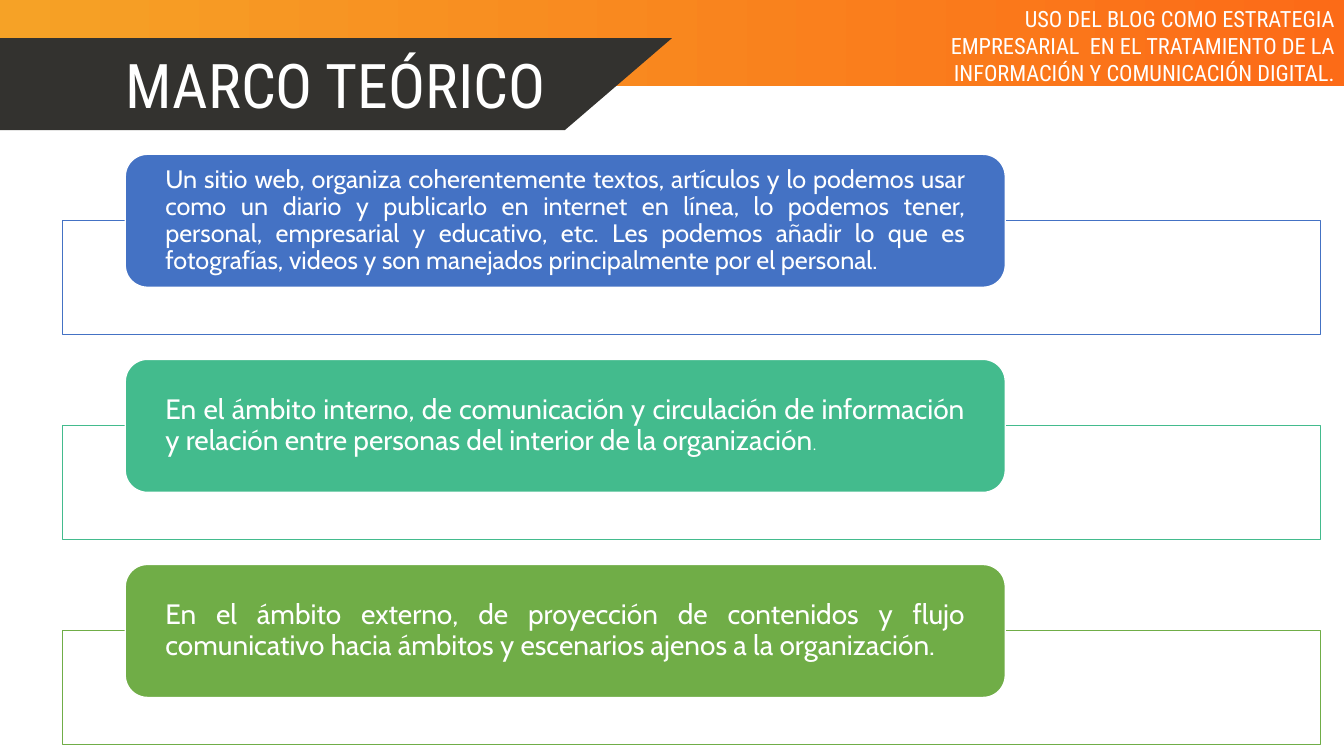
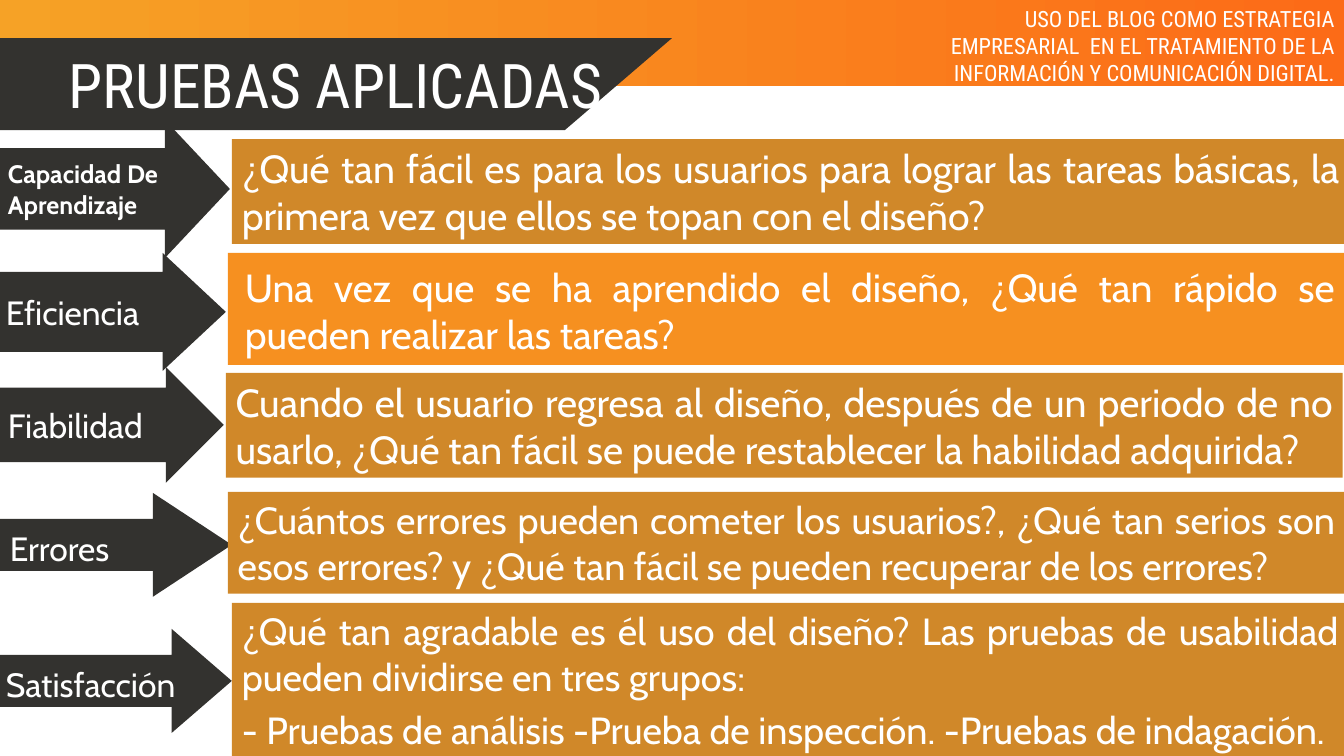
import typing

import pptx
import pptx.dml.color
import pptx.enum.shapes
import pptx.enum.text
import pptx.shapes.autoshape
import pptx.slide
import pptx.text.text
import pptx.util

Pt = pptx.util.Pt
RGB = pptx.dml.color.RGBColor
Kind = pptx.enum.shapes.MSO_SHAPE
Align = pptx.enum.text.PP_ALIGN
Anchor = pptx.enum.text.MSO_ANCHOR
Frame = pptx.text.text.TextFrame
Shape = pptx.shapes.autoshape.Shape
Slide = pptx.slide.Slide

WHITE = RGB(0xFF, 0xFF, 0xFF)
DARK = RGB(0x33, 0x32, 0x2F)
AMBER = RGB(0xF6, 0xA2, 0x26)
FLAME = RGB(0xFC, 0x6B, 0x17)
OCHRE = RGB(0xD0, 0x88, 0x29)
ORANGE = RGB(0xF6, 0x90, 0x20)
BLUE = RGB(0x44, 0x72, 0xC4)
TEAL = RGB(0x43, 0xBB, 0x8D)
GREEN = RGB(0x70, 0xAD, 0x47)

HEAD_FONT = "Roboto Condensed"
BODY_FONT = "Cabin"
WIDTH, HEIGHT = 960, 540
HEADER = ("USO DEL BLOG COMO ESTRATEGIA EMPRESARIAL  EN EL TRATAMIENTO "
          "DE LA INFORMACIÓN Y COMUNICACIÓN DIGITAL.")


class Rect(typing.NamedTuple):
    left: float
    top: float
    width: float
    height: float


class Card(typing.NamedTuple):
    color: RGB
    size: float
    text: str
    stop: str = ""  # small closing mark


class Row(typing.NamedTuple):
    label: str
    arrow: Rect
    shaft: float
    point: float
    panel: Rect
    lines: list[str]
    size: float = 28
    color: RGB = OCHRE
    inset: tuple[float, float] = (7.2, 3.6)
    bold: bool = False
    label_size: float = 24
    spacing: float = 1.0


CARDS = [
    Card(BLUE, 18, "Un sitio web, organiza coherentemente textos, artículos y lo "
         "podemos usar como un diario y publicarlo en internet en línea, lo "
         "podemos tener, personal, empresarial y educativo, etc. Les podemos "
         "añadir lo que es fotografías, videos y son manejados principalmente "
         "por el personal."),
    Card(TEAL, 20, "En el ámbito interno, de comunicación y circulación de "
         "información y relación entre personas del interior de la organización",
         "."),
    Card(GREEN, 20, "En el ámbito externo, de proyección de contenidos y flujo "
         "comunicativo hacia ámbitos y escenarios ajenos a la organización."),
]
CARD_STEP = 146.5

PANEL_WIDTH = 797.8
ROWS = [
    Row("Capacidad De Aprendizaje", Rect(-1.4, 85.7, 165.6, 98.6), 0.591, 0.47,
        Rect(165.6, 99.4, PANEL_WIDTH, 74.9),
        ["¿Qué tan fácil es para los usuarios para lograr las tareas básicas, "
         "la primera vez que ellos se topan con el diseño?"],
        bold=True, label_size=18),
    Row("Eficiencia", Rect(-2.9, 180.7, 164.2, 84.2), 0.678, 0.536,
        Rect(162.7, 180.7, PANEL_WIDTH, 79.9),
        ["Una vez que se ha aprendido el diseño, ¿Qué tan rápido se pueden "
         "realizar las tareas?"],
        color=ORANGE, inset=(12.2, 7.2)),
    Row("Fiabilidad", Rect(-1.4, 262.1, 161.3, 82.8), 0.644, 0.5,
        Rect(161.3, 266.4, PANEL_WIDTH, 74.9),
        ["Cuando el usuario regresa al diseño, después de un periodo de no "
         "usarlo, ¿Qué tan fácil se puede restablecer la habilidad adquirida?"]),
    Row("Errores", Rect(0, 352.1, 165.6, 74.2), 0.5, 0.76,
        Rect(162.7, 351.4, PANEL_WIDTH, 72.7),
        ["¿Cuántos errores pueden cometer los usuarios?, ¿Qué tan serios son "
         "esos errores? y ¿Qué tan fácil se pueden recuperar de los errores?"],
        size=27, spacing=1.15),
    Row("Satisfacción", Rect(-2.9, 449.3, 168.5, 74.2), 0.5, 0.578,
        Rect(165.6, 430.6, PANEL_WIDTH, 111.6),
        ["¿Qué tan agradable es él uso del diseño? Las pruebas de usabilidad "
         "pueden dividirse en tres grupos:",
         "- Pruebas de análisis -Prueba de inspección. -Pruebas de indagación."],
        size=27, spacing=1.15),
]


def add_run(para: typing.Any, text: str, font: str, size: float,
            bold: bool = False) -> None:
    run = para.add_run()
    run.text = text
    run.font.name = font
    run.font.size = Pt(size)
    run.font.bold = bold
    run.font.color.rgb = WHITE


def write(frame: Frame, *lines: str, font: str = BODY_FONT, size: float = 24,
          bold: bool = False, align: Align = Align.LEFT,
          anchor: Anchor = Anchor.MIDDLE, before: float = 0,
          spacing: float = 1.0,
          inset: tuple[float, float] = (7.2, 3.6),
          right: float = 7.2) -> None:
    """Fill a text frame with one paragraph per line."""
    frame.word_wrap = True
    frame.auto_size = pptx.enum.text.MSO_AUTO_SIZE.NONE
    frame.vertical_anchor = anchor
    frame.margin_left, frame.margin_right = Pt(inset[0]), Pt(right)
    frame.margin_top = frame.margin_bottom = Pt(inset[1])
    for index, line in enumerate(lines):
        para = frame.add_paragraph() if index else frame.paragraphs[0]
        para.alignment = align
        para.space_before = Pt(before)
        para.line_spacing = spacing
        add_run(para, line, font, size, bold)


def add_box(slide: Slide, kind: Kind, rect: Rect, fill: RGB,
            line: RGB | None = None) -> Shape:
    shape = slide.shapes.add_shape(kind, *map(Pt, rect))
    shape.shadow.inherit = False
    shape.fill.solid()
    shape.fill.fore_color.rgb = fill
    if line is None:
        shape.line.fill.background()
    else:
        shape.line.color.rgb = line
        shape.line.width = Pt(1)
    return shape


def add_slide(deck: typing.Any, title: str) -> Slide:
    """Start a slide with the shared band, ribbon, title and header."""
    slide = deck.slides.add_slide(deck.slide_layouts[5])

    # Gradient band
    band = add_box(slide, Kind.RECTANGLE, Rect(0, 0, WIDTH, 61.2), AMBER)
    band.fill.gradient()
    band.fill.gradient_angle = 0
    for stop, color in zip(band.fill.gradient_stops, (AMBER, FLAME)):
        stop.color.rgb = color
    band.fill.gradient_stops[0].position = 0
    band.fill.gradient_stops[1].position = 1

    # Slanted ribbon
    top, low = Pt(27.2), Pt(93)
    path = slide.shapes.build_freeform(0, top)
    path.add_line_segments([(Pt(480), top), (Pt(403.4), low), (0, low)])
    ribbon = path.convert_to_shape()
    ribbon.shadow.inherit = False
    ribbon.fill.solid()
    ribbon.fill.fore_color.rgb = DARK
    ribbon.line.fill.background()

    # Title, raised above the ribbon
    head = slide.shapes.title
    head.left, head.top, head.width, head.height = 0, top, Pt(480), low - top
    write(head.text_frame, title, font=HEAD_FONT, size=44, align=Align.CENTER)
    head.element.getparent().append(head.element)

    # Header text
    note = slide.shapes.add_textbox(*map(Pt, Rect(651.6, 0, 308.9, 65.5)))
    write(note.text_frame, HEADER, font=HEAD_FONT, size=16, align=Align.RIGHT,
          anchor=Anchor.TOP)
    return slide


def add_card(slide: Slide, card: Card, shift: float) -> None:
    add_box(slide, Kind.RECTANGLE, Rect(44.6, 157.5 + shift, 898.6, 81.4),
            WHITE, card.color)
    pill = add_box(slide, Kind.ROUNDED_RECTANGLE,
                   Rect(89.5, 110.2 + shift, 628.6, 95), card.color, WHITE)
    write(pill.text_frame, card.text, size=card.size, align=Align.JUSTIFY,
          spacing=0.9, inset=(24, 0), right=24)
    if card.stop:
        add_run(pill.text_frame.paragraphs[0], card.stop, "Calibri", 10)


def add_row(slide: Slide, row: Row) -> None:
    arrow = add_box(slide, Kind.RIGHT_ARROW, row.arrow, DARK)
    arrow.adjustments[0] = row.shaft
    arrow.adjustments[1] = row.point
    write(arrow.text_frame, row.label, size=row.label_size, bold=row.bold,
          spacing=row.spacing)
    panel = add_box(slide, Kind.RECTANGLE, row.panel, row.color)
    write(panel.text_frame, *row.lines, size=row.size, align=Align.JUSTIFY,
          anchor=Anchor.TOP, before=6, inset=row.inset)


def main() -> None:
    deck = pptx.Presentation()
    deck.slide_width, deck.slide_height = Pt(WIDTH), Pt(HEIGHT)

    # Theory cards
    slide = add_slide(deck, "MARCO TEÓRICO")
    for index, card in enumerate(CARDS):
        add_card(slide, card, index * CARD_STEP)

    # Usability tests
    slide = add_slide(deck, "PRUEBAS APLICADAS")
    for row in ROWS:
        add_row(slide, row)

    deck.save("out.pptx")


if __name__ == "__main__":
    main()
